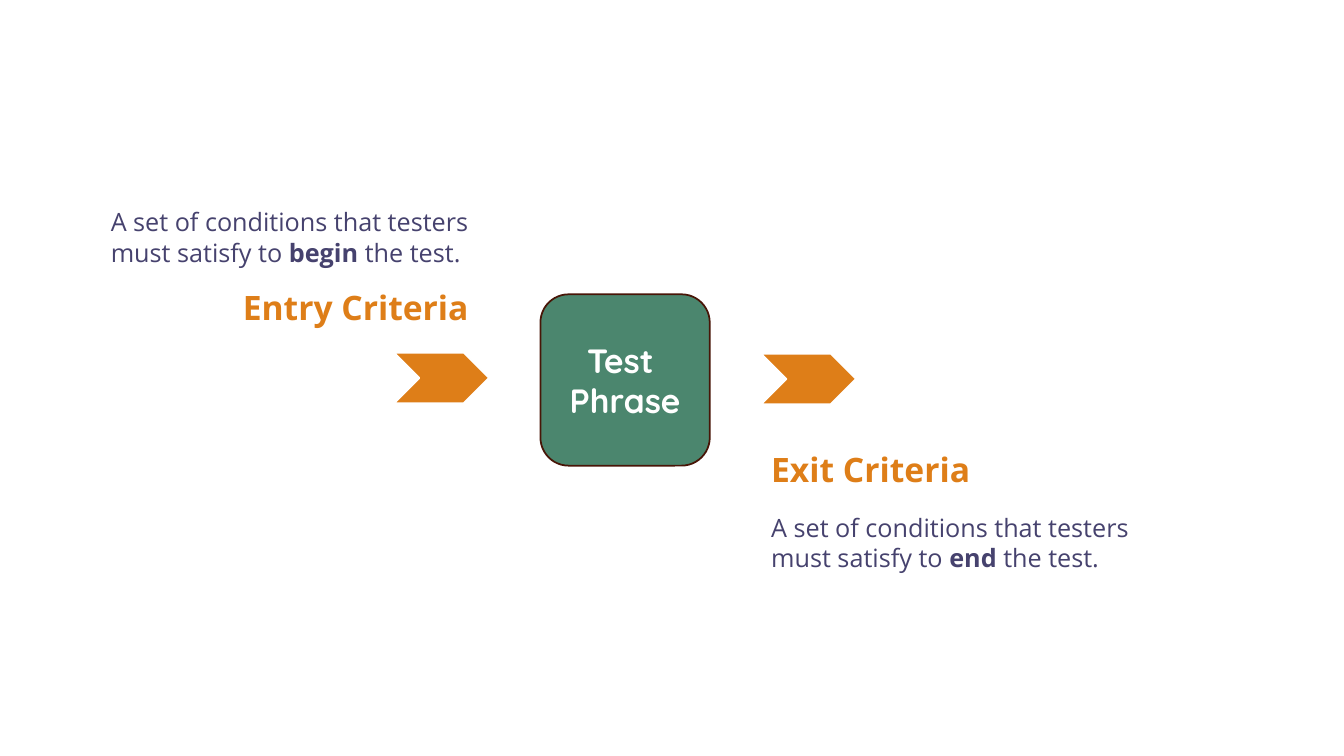
"""Build a slide showing the entry and exit criteria around a test phase."""
import pptx
import pptx.dml.color
import pptx.enum.shapes
import pptx.enum.text
import pptx.util

Inches = pptx.util.Inches
Pt = pptx.util.Pt
Color = pptx.dml.color.RGBColor.from_string
Shape = pptx.enum.shapes.MSO_SHAPE
Align = pptx.enum.text.PP_ALIGN

THEME = {
    "green": Color("4B866E"),
    "brown": Color("481507"),
    "orange": Color("DE7E18"),
    "white": Color("FFFFFF"),
    "body": {"name": "Open Sans", "size": Pt(18), "color": Color("46426E")},
    "heading": {"name": "Open Sans", "size": Pt(24), "color": Color("DE7E18")},
    "phase": {"name": "Quicksand", "size": Pt(24), "color": Color("FFFFFF")},
}


def write_paragraph(paragraph, runs, style, alignment):
    paragraph.alignment = alignment
    for text, bold in runs:
        run = paragraph.add_run()
        run.text = text
        run.font.bold = bold
        run.font.color.rgb = THEME[style]["color"]
        for attribute in ("name", "size"):
            setattr(run.font, attribute, THEME[style][attribute])


def add_outlined_shape(slide, kind, position, fill, line):
    shape = slide.shapes.add_shape(kind, *map(Inches, position))
    shape.shadow.inherit = False
    shape.fill.solid()
    shape.fill.fore_color.rgb = THEME[fill]
    shape.line.color.rgb = THEME[line]
    shape.line.width = Pt(1.25)
    return shape


presentation = pptx.Presentation()
presentation.slide_width = Inches(13.33)
presentation.slide_height = Inches(7.5)
slide = presentation.slides.add_slide(presentation.slide_layouts[6])

phase = add_outlined_shape(slide, Shape.ROUNDED_RECTANGLE, (5.36, 2.92, 1.68, 1.7), "green", "brown")
phase.text_frame.vertical_anchor = pptx.enum.text.MSO_ANCHOR.MIDDLE
write_paragraph(phase.text_frame.paragraphs[0], [("Test ", True)], "phase", Align.CENTER)
write_paragraph(phase.text_frame.add_paragraph(), [("Phrase", True)], "phase", Align.CENTER)

condition = "A set of conditions that testers must satisfy to "
texts = [
    ((1, 2, 3.85, 0.71), [(condition, False), ("begin", True), (" the test.", False)], "body", Align.LEFT),
    ((7.55, 5.03, 3.89, 0.71), [(condition, False), ("end", True), (" the test.", False)], "body", Align.LEFT),
    ((2.31, 2.8, 2.8, 0.5), [("Entry Criteria", True)], "heading", Align.LEFT),
    ((7.55, 4.4, 2.58, 0.5), [("Exit Criteria", True)], "heading", Align.JUSTIFY),
]
for position, runs, style, alignment in texts:
    text_box = slide.shapes.add_textbox(*map(Inches, position))
    text_box.text_frame.word_wrap = True
    write_paragraph(text_box.text_frame.paragraphs[0], runs, style, alignment)

for left, top in ((3.91, 3.5), (7.55, 3.51)):
    add_outlined_shape(slide, Shape.CHEVRON, (left, top, 0.94, 0.5), "orange", "white")

presentation.save("out.pptx")
